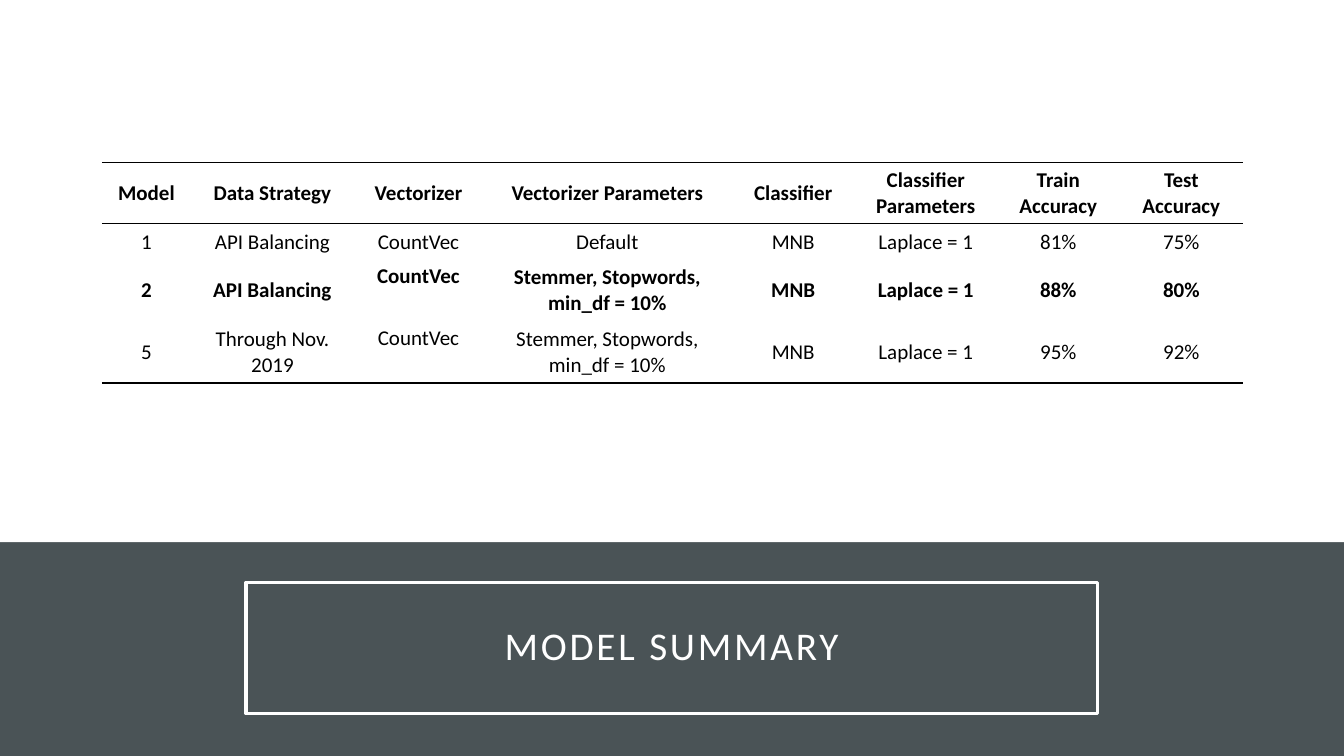
"""Build the model summary slide: a results table above a framed title."""
from lxml.etree import SubElement
from pptx import Presentation
from pptx.dml.color import RGBColor
from pptx.enum.shapes import MSO_SHAPE
from pptx.enum.text import MSO_ANCHOR, PP_ALIGN
from pptx.oxml.ns import qn
from pptx.util import Cm, Pt

SLATE = RGBColor(0x4A, 0x53, 0x56)
WHITE = RGBColor(0xFF, 0xFF, 0xFF)
BLACK = RGBColor(0x00, 0x00, 0x00)

COLUMN_WIDTHS = [2.24, 4.11, 3.25, 6.27, 3.1, 3.58, 3.1, 3.1]
ROW_HEIGHTS = [1.55, 0.91, 1.55, 1.55]
ROWS = [
    ["Model", "Data Strategy", "Vectorizer", "Vectorizer Parameters", "Classifier",
     "Classifier Parameters", "Train Accuracy", "Test Accuracy"],
    ["1", "API Balancing", "CountVec", "Default", "MNB", "Laplace = 1", "81%", "75%"],
    ["2", "API Balancing", "CountVec", "Stemmer, Stopwords, min_df = 10%", "MNB",
     "Laplace = 1", "88%", "80%"],
    ["5", "Through Nov. 2019", "CountVec", "Stemmer, Stopwords, min_df = 10%", "MNB",
     "Laplace = 1", "95%", "92%"],
]
BOLD_ROWS = {0, 2}
RULED_SIDES = {(0, "T"), (0, "B"), (1, "T"), (3, "B")}
TOP_CELLS = {(2, 2), (3, 2)}


def add_text(paragraph, text, size, color, bold=False):
    paragraph.alignment = PP_ALIGN.CENTER
    run = paragraph.add_run()
    run.text = text
    run.font.name = "Calibri"
    run.font.size = Pt(size)
    run.font.bold = bold
    run.font.color.rgb = color
    return run


def set_borders(cell, ruled_sides):
    properties = cell._tc.get_or_add_tcPr()
    for side in "LRTB":
        line = SubElement(properties, qn(f"a:ln{side}"), w=str(Pt(1)))
        if side in ruled_sides:
            fill = SubElement(line, qn("a:solidFill"))
            SubElement(fill, qn("a:srgbClr"), val=str(BLACK))
        else:
            SubElement(line, qn("a:noFill"))


presentation = Presentation()
presentation.slide_width = Cm(33.87)
presentation.slide_height = Cm(19.05)
slide = presentation.slides.add_slide(presentation.slide_layouts[6])
slide.background.fill.solid()
slide.background.fill.fore_color.rgb = SLATE

panel = slide.shapes.add_shape(MSO_SHAPE.RECTANGLE, 0, 0, presentation.slide_width, Cm(13.66))
panel.shadow.inherit = False
panel.fill.solid()
panel.fill.fore_color.rgb = WHITE
panel.line.fill.background()

title = slide.shapes.add_shape(MSO_SHAPE.RECTANGLE, Cm(6.2), Cm(14.68), Cm(21.46), Cm(3.3))
title.shadow.inherit = False
title.fill.background()
title.line.color.rgb = WHITE
title.line.width = Pt(2.5)
frame = title.text_frame
frame.word_wrap = True
frame.vertical_anchor = MSO_ANCHOR.MIDDLE
frame.margin_left = frame.margin_right = frame.margin_top = frame.margin_bottom = Cm(0.5)
frame.paragraphs[0].line_spacing = 0.9
title_run = add_text(frame.paragraphs[0], "MODEL SUMMARY", 28, WHITE)
title_run.font._element.set("spc", "200")

table = slide.shapes.add_table(len(ROWS), len(COLUMN_WIDTHS), Cm(2.57), Cm(4.09),
                               Cm(sum(COLUMN_WIDTHS)), Cm(sum(ROW_HEIGHTS))).table
table.first_row = False
table.horz_banding = False
for column, width in zip(table.columns, COLUMN_WIDTHS):
    column.width = Cm(width)
for row, height in zip(table.rows, ROW_HEIGHTS):
    row.height = Cm(height)

for row_index, texts in enumerate(ROWS):
    ruled_sides = [side for index, side in RULED_SIDES if index == row_index]
    for column_index, text in enumerate(texts):
        cell = table.cell(row_index, column_index)
        at_top = (row_index, column_index) in TOP_CELLS
        cell.vertical_anchor = MSO_ANCHOR.TOP if at_top else MSO_ANCHOR.MIDDLE
        cell.margin_left = cell.margin_right = Cm(0.2)
        cell.margin_top = cell.margin_bottom = Cm(0.1)
        set_borders(cell, ruled_sides)
        cell.fill.background()
        add_text(cell.text_frame.paragraphs[0], text, 15, BLACK, row_index in BOLD_ROWS)

presentation.save("out.pptx")
